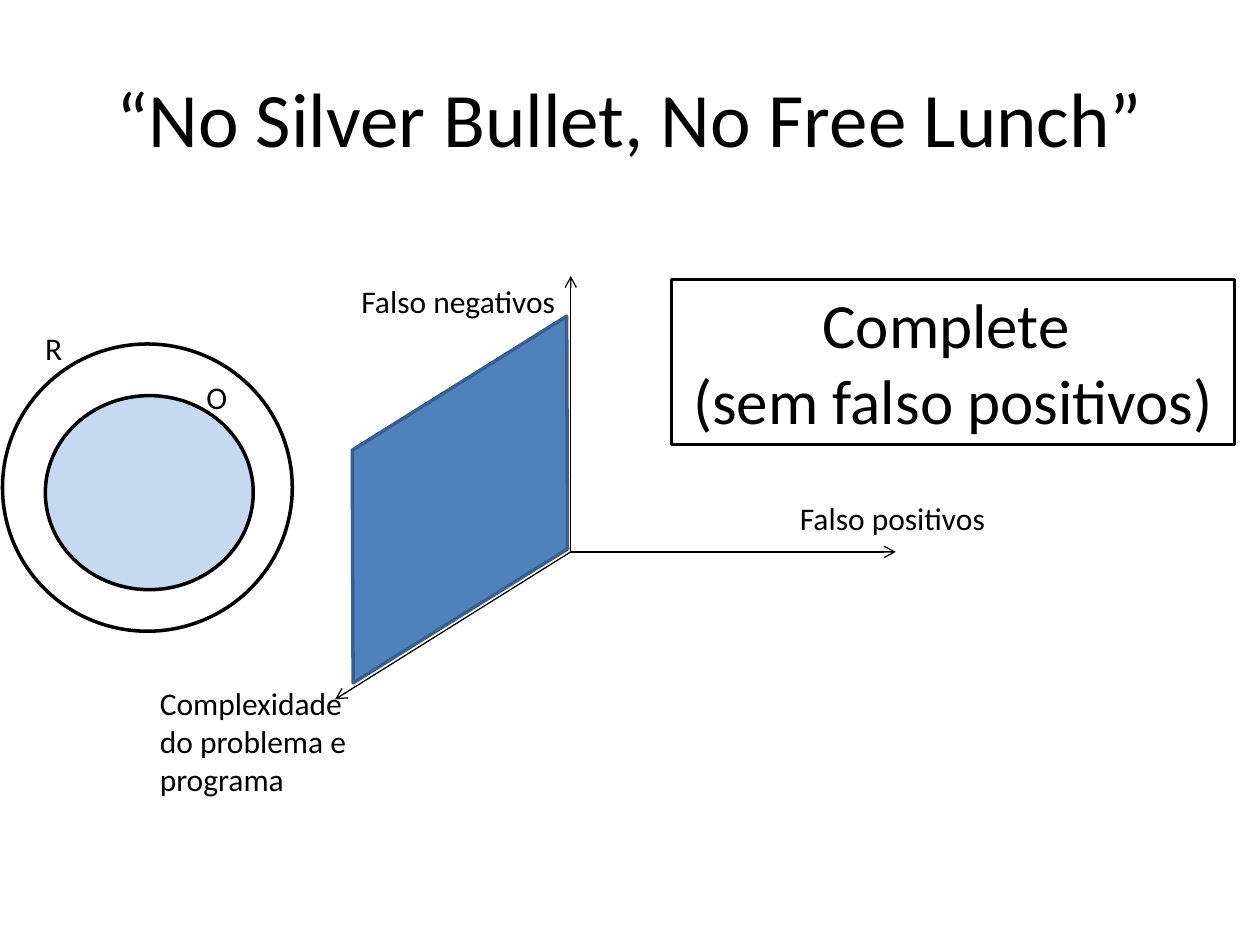
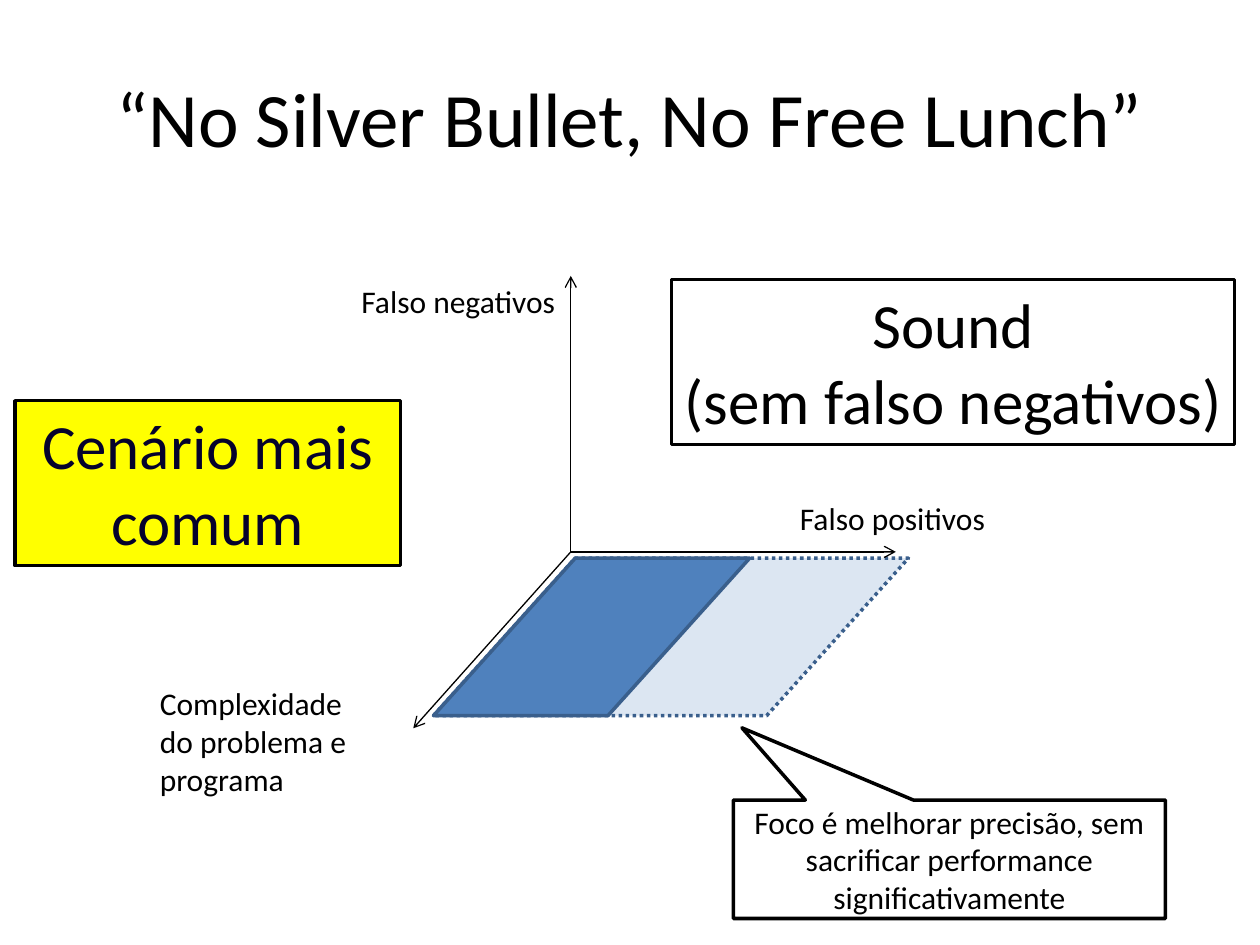
from lxml import etree
from pptx import Presentation
from pptx.dml.color import RGBColor
from pptx.enum.dml import MSO_LINE
from pptx.enum.shapes import MSO_CONNECTOR, MSO_SHAPE
from pptx.enum.text import MSO_ANCHOR, MSO_AUTO_SIZE, PP_ALIGN
from pptx.oxml.ns import qn
from pptx.util import Inches, Pt

RECT, OVAL = MSO_SHAPE.RECTANGLE, MSO_SHAPE.OVAL
SLANT, CALLOUT = MSO_SHAPE.PARALLELOGRAM, MSO_SHAPE.RECTANGULAR_CALLOUT
STRAIGHT, DOTTED = MSO_CONNECTOR.STRAIGHT, MSO_LINE.ROUND_DOT
LEFT, CENTER = PP_ALIGN.LEFT, PP_ALIGN.CENTER
TOP, MIDDLE = MSO_ANCHOR.TOP, MSO_ANCHOR.MIDDLE
GROW = MSO_AUTO_SIZE.SHAPE_TO_FIT_TEXT

COLS, ROWS = 100, 75
TITLE_ONLY = 5
FONT = "Calibri"
TITLE_SIZE, PANEL_SIZE, LABEL_SIZE = 44, 36, 18
TITLE = "“No Silver Bullet, No Free Lunch”"
COLORS = {
    "ink": "000000",
    "paper": "FFFFFF",
    "plane": "4F81BD",
    "edge": "3A5F8C",
    "pale_plane": "DCE6F2",
    "inner": "C6D9F1",
    "highlight": "FFFF00",
    "navy": "05022C",
}
ORIGIN = (45.3, 43.8)
UP, RIGHT = (45.3, 21.9), (71.1, 43.8)
VERDICT = (53.3, 22.2, 44.7, 13.1)


def color(name):
    return RGBColor.from_string(COLORS[name])


class Deck:
    def __init__(self):
        self.prs = Presentation()
        self.prs.slide_width, self.prs.slide_height = Inches(10), Inches(7.5)
        self.slide = None

    def place(self, col, row):
        return (round(self.prs.slide_width * col / COLS),
                round(self.prs.slide_height * row / ROWS))

    def box(self, col, row, cols, rows):
        return self.place(col, row) + self.place(cols, rows)

    def put_text(self, sp, lines, size, ink="ink", align=CENTER, anchor=TOP):
        tf = sp.text_frame
        tf.vertical_anchor = anchor
        for i, line in enumerate(lines):
            p = tf.add_paragraph() if i else tf.paragraphs[0]
            p.alignment = align
            r = p.add_run()
            r.text = line
            r.font.name, r.font.size = FONT, Pt(size)
            r.font.color.rgb = color(ink)

    def new_slide(self, title):
        layout = self.prs.slide_layouts[TITLE_ONLY]
        self.slide = self.prs.slides.add_slide(layout)
        sp = self.slide.shapes.title
        sp.left, sp.top, sp.width, sp.height = self.box(5, 3, 90, 12.5)
        self.put_text(sp, [title], TITLE_SIZE, anchor=MIDDLE)

    def shape(self, kind, at, fill, line="ink", adjust=(), dash=None, turn=0):
        sp = self.slide.shapes.add_shape(kind, *self.box(*at))
        sp.shadow.inherit = False
        sp.fill.solid()
        sp.fill.fore_color.rgb = color(fill)
        sp.line.color.rgb = color(line)
        sp.line.width = Pt(2)
        if dash:
            sp.line.dash_style = dash
        for i, value in enumerate(adjust):
            sp.adjustments[i] = value
        sp.rotation = turn
        return sp

    def panel(self, at, lines, fill="paper", ink="ink"):
        sp = self.shape(RECT, at, fill)
        sp.text_frame.word_wrap = True
        sp.text_frame.auto_size = GROW
        self.put_text(sp, lines, PANEL_SIZE, ink)

    def callout(self, at, text, pointer):
        sp = self.shape(CALLOUT, at, "paper", adjust=pointer)
        sp.text_frame.word_wrap = True
        self.put_text(sp, [text], LABEL_SIZE, anchor=MIDDLE)

    def label(self, at, text, wrap=True):
        sp = self.slide.shapes.add_textbox(*self.box(*at))
        sp.text_frame.word_wrap = wrap
        sp.text_frame.auto_size = GROW
        self.put_text(sp, [text], LABEL_SIZE, align=LEFT)

    def arrow(self, start, end):
        cx = self.slide.shapes.add_connector(
            STRAIGHT, *self.place(*start), *self.place(*end))
        cx.line.color.rgb = color("ink")
        cx.line.width = Pt(0.75)
        ln = cx.element.spPr.find(qn("a:ln"))
        etree.SubElement(ln, qn("a:tailEnd"), type="arrow")
        etree.SubElement(cx.element.spPr, qn("a:effectLst"))

    def axes(self, depth_end):
        for end in (UP, RIGHT, depth_end):
            self.arrow(ORIGIN, end)

    def axis_labels(self):
        self.label((27.7, 21.9, 17.6, 4), "Falso negativos", wrap=False)
        self.label((62.5, 39.1, 16.9, 4), "Falso positivos", wrap=False)
        self.label((11.7, 53.8, 17, 10.1), "Complexidade do problema e programa")


def complete_slide(deck):
    deck.new_slide(TITLE)
    deck.axes((26.6, 55.5))
    deck.panel(VERDICT, ["Complete ", "(sem falso positivos)"])
    deck.shape(SLANT, (21.6, 31.8, 29.8, 15.7), "plane", "edge", [0.62], turn=148)
    deck.axis_labels()
    deck.shape(OVAL, (0.2, 27.3, 23, 22.8), "paper")
    deck.shape(OVAL, (3.6, 31.4, 16.5, 15.4), "inner")
    deck.label((2.6, 25.6, 2.8, 4), "R")
    deck.label((15.4, 29.5, 2.5, 4), "O")


def sound_slide(deck):
    deck.new_slide(TITLE)
    deck.shape(SLANT, (34.4, 44.3, 37.7, 12.5), "pale_plane", "edge", [0.9], DOTTED)
    deck.axes((32.8, 57.8))
    deck.axis_labels()
    deck.shape(SLANT, (34.4, 44.3, 25.1, 12.5), "plane", "edge", [0.9])
    deck.callout((58.2, 63.5, 34.3, 9.4),
                 "Foco é melhorar precisão, sem sacrificar performance significativamente",
                 (-0.48, -1.11))
    deck.panel((1.2, 31.8, 30.6, 13.1), ["Cenário mais comum"], "highlight", "navy")
    deck.panel(VERDICT, ["Sound", "(sem falso negativos)"])


def main():
    deck = Deck()
    complete_slide(deck)
    sound_slide(deck)
    deck.prs.save("out.pptx")


if __name__ == "__main__":
    main()
